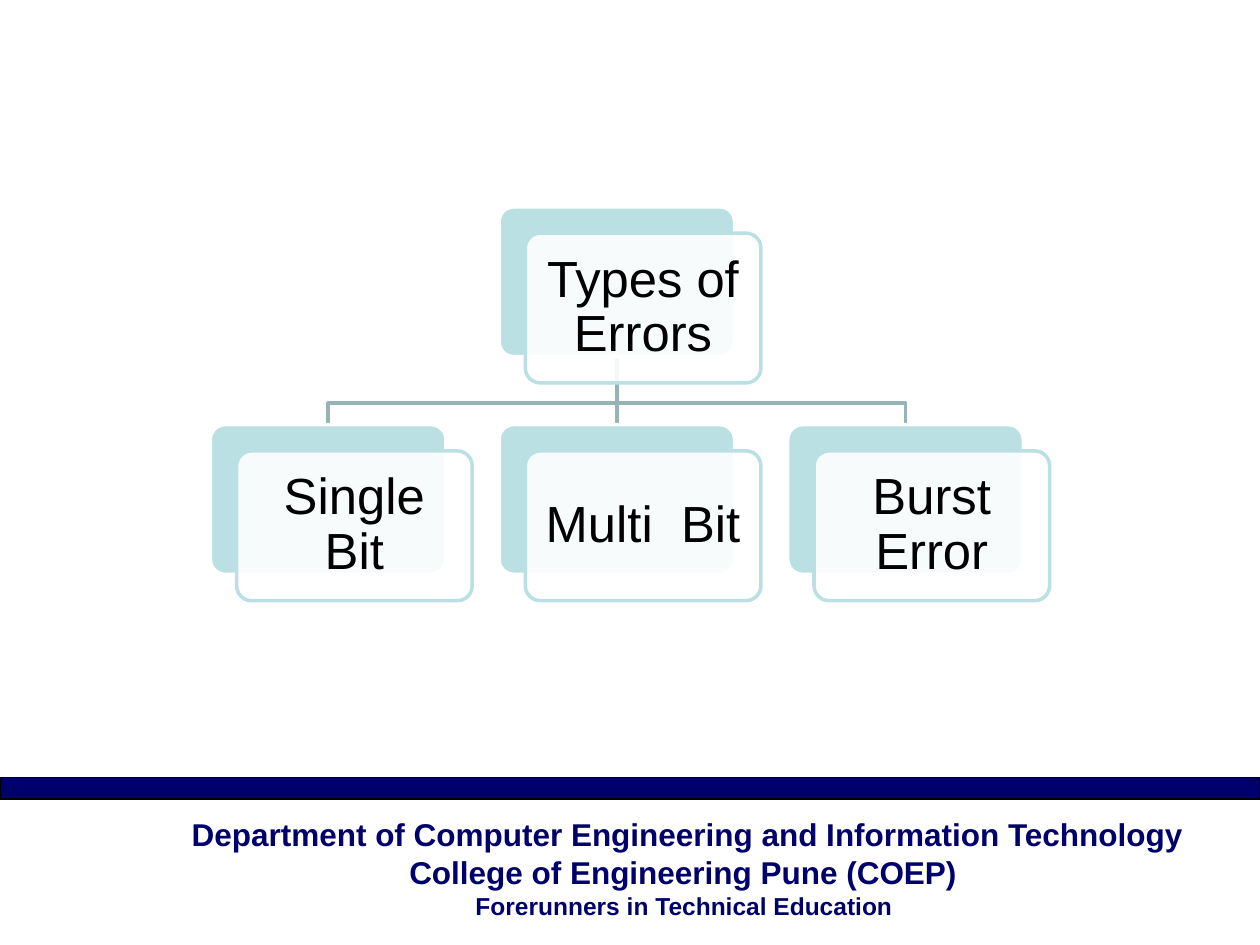
from dataclasses import dataclass

from lxml import etree
from pptx import Presentation
from pptx.dml.color import RGBColor
from pptx.enum.shapes import MSO_CONNECTOR, MSO_SHAPE
from pptx.enum.text import MSO_ANCHOR, PP_ALIGN
from pptx.oxml.ns import qn
from pptx.util import Cm, Pt

RECTANGLE = MSO_SHAPE.RECTANGLE
ROUNDED = MSO_SHAPE.ROUNDED_RECTANGLE
STRAIGHT = MSO_CONNECTOR.STRAIGHT
CENTER = PP_ALIGN.CENTER
MIDDLE = MSO_ANCHOR.MIDDLE
BOTTOM_SIDE, TOP_SIDE = 2, 0


@dataclass(frozen=True)
class Theme:
    font: str = "Arial"
    navy: RGBColor = RGBColor(0x00, 0x00, 0x6C)
    black: RGBColor = RGBColor(0x00, 0x00, 0x00)
    white: RGBColor = RGBColor(0xFF, 0xFF, 0xFF)
    teal: RGBColor = RGBColor(0xBB, 0xE0, 0xE3)
    link: RGBColor = RGBColor(0x96, 0xB3, 0xB6)
    card_size: int = 29
    footer_size: int = 18
    motto_size: int = 14
    line_width: int = 2


THEME = Theme()
CARD_WIDTH, CARD_HEIGHT = Cm(4.75), Cm(3.02)
CARD_OFFSET = Cm(0.53)
FIRST_LEFT, COLUMN_STEP = Cm(4.24), Cm(5.82)
ROOT_TOP, CHILD_TOP, BRANCH_TOP = Cm(4.17), Cm(8.56), Cm(8.13)
ROOT_TEXT = "Types of Errors"
CHILD_TEXTS = ("Single Bit", "Multi  Bit", "Burst Error")
FOOTER_LINES = (
    ("Department of Computer Engineering and Information Technology", THEME.footer_size),
    ("College of Engineering Pune (COEP) ", THEME.footer_size),
    ("Forerunners in Technical Education ", THEME.motto_size),
)


def add_box(slide, kind, left, top, width, height, fill, line, line_width):
    shape = slide.shapes.add_shape(kind, left, top, width, height)
    shape.shadow.inherit = False
    shape.fill.solid()
    shape.fill.fore_color.rgb = fill
    shape.line.color.rgb = line
    shape.line.width = Pt(line_width)
    return shape


def add_run(paragraph, text, size, color, bold=False):
    paragraph.alignment = CENTER
    run = paragraph.add_run()
    run.text = text
    run.font.name = THEME.font
    run.font.size = Pt(size)
    run.font.bold = bold
    run.font.color.rgb = color


def make_translucent(shape, percent):
    color = shape.fill._xPr.find(qn("a:solidFill"))[0]
    etree.SubElement(color, qn("a:alpha")).set("val", str(percent * 1000))


def add_card(slide, column, top, text):
    left = FIRST_LEFT + column * COLUMN_STEP
    back = add_box(slide, ROUNDED, left, top, CARD_WIDTH, CARD_HEIGHT,
                   THEME.teal, THEME.white, THEME.line_width)
    front = add_box(slide, ROUNDED, left + CARD_OFFSET, top + CARD_OFFSET,
                    CARD_WIDTH, CARD_HEIGHT, THEME.white, THEME.teal, THEME.line_width)
    for shape in (back, front):
        shape.adjustments[0] = 0.1
    make_translucent(front, 90)
    frame = front.text_frame
    frame.word_wrap = True
    frame.vertical_anchor = MIDDLE
    frame.margin_left = frame.margin_right = Cm(0.29)
    frame.margin_top = frame.margin_bottom = Cm(0.29)
    paragraph = frame.paragraphs[0]
    paragraph.line_spacing = 0.9
    add_run(paragraph, text, THEME.card_size, THEME.black)
    return back


def style_link(slide, link):
    link.line.color.rgb = THEME.link
    link.line.width = Pt(THEME.line_width)
    slide.shapes._spTree.insert(2, link._element)


def add_straight_link(slide, parent, child):
    link = slide.shapes.add_connector(STRAIGHT, 0, 0, 0, 0)
    link.begin_connect(parent, BOTTOM_SIDE)
    link.end_connect(child, TOP_SIDE)
    style_link(slide, link)
    etree.SubElement(link._element.spPr, qn("a:effectLst"))


def add_branch_link(slide, parent, child):
    start = parent.left + parent.width // 2
    end = child.left + child.width // 2
    builder = slide.shapes.build_freeform(start, parent.top + parent.height)
    builder.add_line_segments(
        [(start, BRANCH_TOP), (end, BRANCH_TOP), (end, child.top)], close=False)
    link = builder.convert_to_shape()
    link.shadow.inherit = False
    link.fill.background()
    style_link(slide, link)


def add_error_tree(slide):
    root = add_card(slide, 1, ROOT_TOP, ROOT_TEXT)
    for column, text in enumerate(CHILD_TEXTS):
        child = add_card(slide, column, CHILD_TOP, text)
        add_link = add_straight_link if child.left == root.left else add_branch_link
        add_link(slide, root, child)


def add_footer(slide, slide_width):
    add_box(slide, RECTANGLE, 0, Cm(15.67), slide_width, Cm(0.44),
            THEME.navy, THEME.black, 0.75)
    frame = slide.shapes.add_textbox(Cm(3.18), Cm(16.31), Cm(21.36), Cm(2.6)).text_frame
    frame.word_wrap = True
    for index, (text, size) in enumerate(FOOTER_LINES):
        paragraph = frame.add_paragraph() if index else frame.paragraphs[0]
        add_run(paragraph, text, size, THEME.navy, bold=True)


def main():
    presentation = Presentation()
    presentation.slide_width, presentation.slide_height = Cm(25.4), Cm(19.05)
    slide = presentation.slides.add_slide(presentation.slide_layouts[6])
    add_footer(slide, presentation.slide_width)
    add_error_tree(slide)
    presentation.save("out.pptx")


if __name__ == "__main__":
    main()
